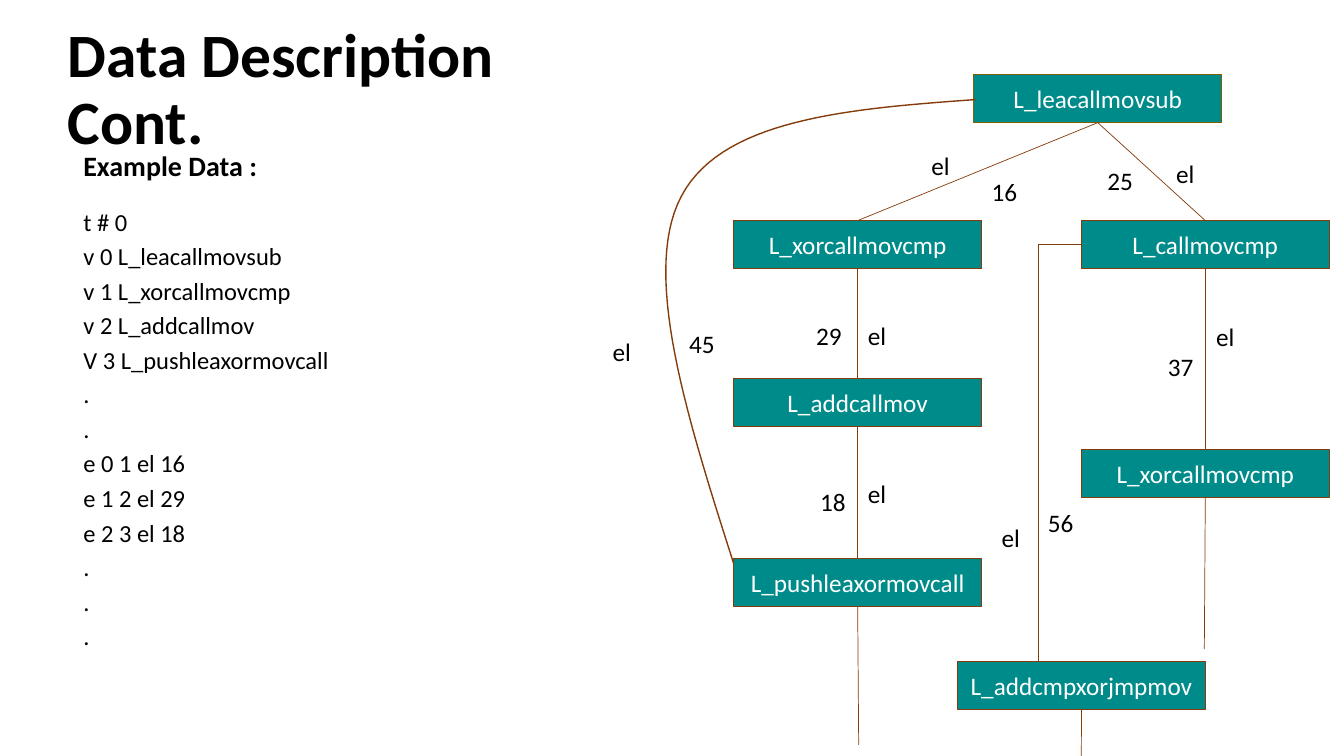
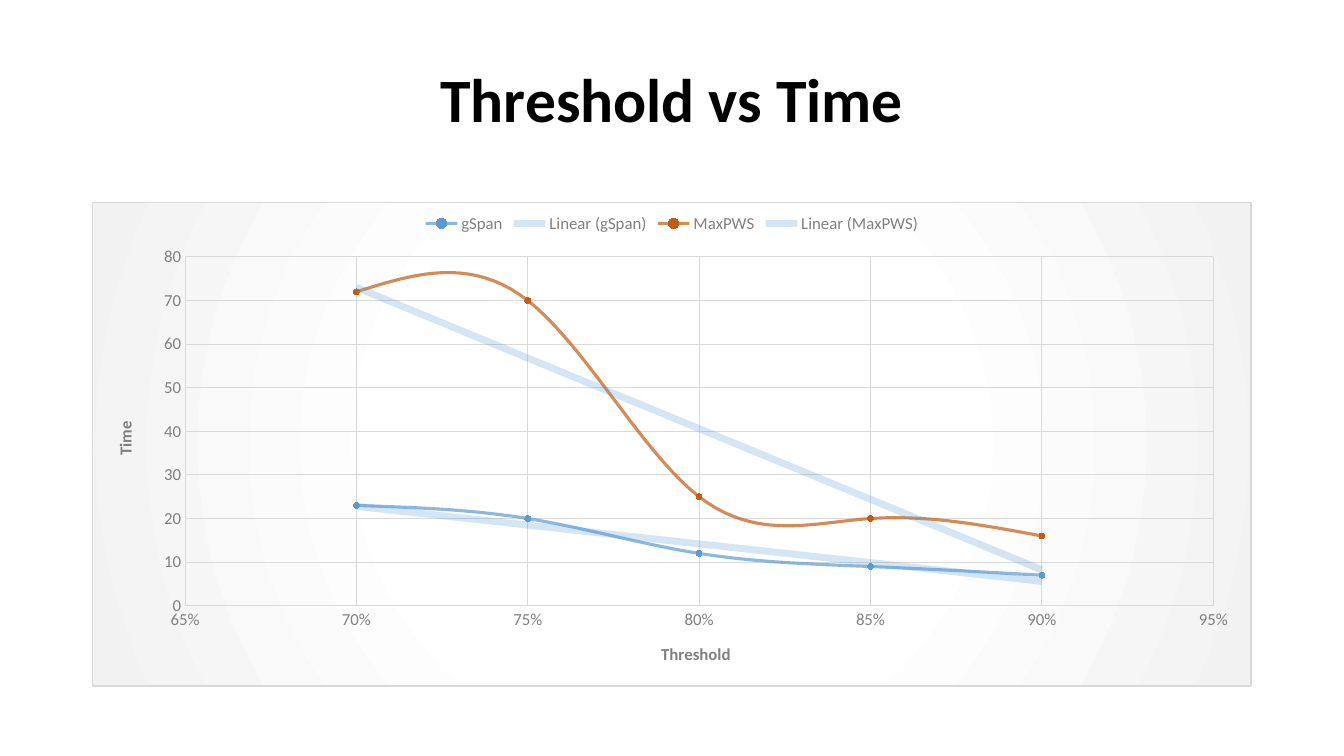
import pptx
import pptx.chart.data
import pptx.dml.color
import pptx.enum.chart
import pptx.enum.shapes
import pptx.enum.text
import pptx.oxml
import pptx.oxml.ns
import pptx.util

Cm, Pt = pptx.util.Cm, pptx.util.Pt
RGB = pptx.dml.color.RGBColor
ALIGN = pptx.enum.text.PP_ALIGN
MIDDLE = pptx.enum.text.MSO_ANCHOR.MIDDLE
LINK = pptx.enum.shapes.MSO_CONNECTOR
CHART = pptx.enum.chart

BLACK, WHITE = RGB(0, 0, 0), RGB(255, 255, 255)
TEAL, BROWN, OLIVE = RGB(0x00, 0x8B, 0x8B), RGB(0x84, 0x3C, 0x0B), RGB(0x80, 0x60, 0x00)
BLUE, RUST = RGB(0x5B, 0x9B, 0xD5), RGB(0xC5, 0x5A, 0x11)
GRAY, GRID = RGB(0x80, 0x80, 0x80), RGB(0xD9, 0xD9, 0xD9)
FONT = "Calibri"
NS = pptx.oxml.ns.nsdecls("a", "c")


def write(shape, lines, size, color=BLACK, bold=False, align=ALIGN.LEFT):
    """Fill a shape with one styled run per line; return its paragraphs."""
    frame = shape.text_frame
    frame.word_wrap = True
    for i, line in enumerate(lines):
        para = frame.add_paragraph() if i else frame.paragraphs[0]
        para.alignment = align
        run = para.add_run()
        run.text = line
        run.font.name, run.font.size, run.font.bold = FONT, Pt(size), bold
        run.font.color.rgb = color
    return frame.paragraphs


def join(start, end, kind=LINK.STRAIGHT):
    """Draw a thin brown connector between two points in cm."""
    line = slide.shapes.add_connector(kind, *[Cm(v) for v in (*start, *end)])
    line.line.color.rgb = BROWN
    line.line.width = Pt(0.5)
    line._element.spPr.append(pptx.oxml.parse_xml(f"<a:effectLst {NS}/>"))
    return line


deck = pptx.Presentation()
deck.slide_width, deck.slide_height = Cm(33.87), Cm(19.05)

# Both slides with their titles
slides = []
for layout, text, box, align in (
    (1, "Data Description Cont.", (1.45, 0.46, 14.91, 3.68), ALIGN.LEFT),
    (5, "Threshold vs Time", (2.33, 0.74, 29.21, 3.68), ALIGN.CENTER),
):
    slide = deck.slides.add_slide(deck.slide_layouts[layout])
    title = slide.shapes.title
    title.left, title.top, title.width, title.height = [Cm(v) for v in box]
    title.text_frame.vertical_anchor = MIDDLE
    title.text_frame.auto_size = pptx.enum.text.MSO_AUTO_SIZE.NONE
    write(title, [text], 44, bold=True, align=align)[0].line_spacing = 0.9
    slides.append(slide)

# Slide 1: example data
slide = slides[0]
body = slide.placeholders[1]
body.left, body.top, body.width, body.height = Cm(1.85), Cm(5.28), Cm(16.15), Cm(12.09)
body.text_frame.auto_size = pptx.enum.text.MSO_AUTO_SIZE.NONE
rows = ["t # 0", "v 0 L_leacallmovsub", "v 1 L_xorcallmovcmp", "v 2 L_addcallmov",
        "V 3 L_pushleaxormovcall", ".", ".", "e 0 1 el 16", "e 1 2 el 29",
        "e 2 3 el 18", ".", ".", "."]
for para in write(body, rows, 17.5):
    para.line_spacing = 0.7
    para.space_before = Pt(10)
    props = para._p.get_or_add_pPr()
    props.set("marL", "0")
    props.set("indent", "0")
    props.append(pptx.oxml.parse_xml(f"<a:buNone {NS}/>"))

head = slide.shapes.add_textbox(Cm(1.85), Cm(3.63), Cm(12.14), Cm(1.12))
write(head, ["Example Data :"], 20, bold=True)

# Graph nodes
WIDE, HIGH = 6.25, 1.21
LEFT, RIGHT = 18.49, 27.25
nodes = {}
for key, name, x, y in (
    ("top", "L_leacallmovsub", 24.54, 1.88),
    ("xor", "L_xorcallmovcmp", LEFT, 5.56),
    ("call", "L_callmovcmp", RIGHT, 5.56),
    ("add", "L_addcallmov", LEFT, 9.53),
    ("next", "L_xorcallmovcmp", RIGHT, 11.33),
    ("push", "L_pushleaxormovcall", LEFT, 14.07),
    ("jump", "L_addcmpxorjmpmov", 24.13, 16.66),
):
    node = slide.shapes.add_shape(pptx.enum.shapes.MSO_SHAPE.RECTANGLE,
                                  Cm(x), Cm(y), Cm(WIDE), Cm(HIGH))
    node.shadow.inherit = False
    node.fill.solid()
    node.fill.fore_color.rgb = TEAL
    node.line.color.rgb = OLIVE if key == "top" else BROWN
    node.line.width = Pt(0.5)
    node.text_frame.vertical_anchor = MIDDLE
    write(node, [name], 18, WHITE, align=ALIGN.CENTER)
    nodes[key] = node

# Edges between nodes, then open ends below the last ones
for above, below in (("top", "xor"), ("top", "call"), ("xor", "add"),
                     ("add", "push"), ("call", "next")):
    edge = join((0, 0), (1, 1))
    edge.begin_connect(nodes[above], 2)
    edge.end_connect(nodes[below], 0)
for key, x, y in (("push", 21.64, 18.77), ("jump", 27.25, 19.05), ("next", 30.35, 16.36)):
    edge = join((x, y - 1), (x, y))
    edge.begin_connect(nodes[key], 2)

bent = join((RIGHT, 6.17), (26.16, 16.66), LINK.ELBOW)
bent._element.spPr.prstGeom.set("prst", "bentConnector2")

# Curved edge from the top node down to the push node
curve = [(24.59, 2.51), (21.39, 2.74), (18.19, 3), (17.17, 4.95),
         (16.15, 6.88), (17.32, 10.54), (18.49, 14.2)]
STEPS = 30
dots = []
for first in (0, 3):
    for step in range(1, STEPS + 1):
        t = step / STEPS
        parts = ((1 - t) ** 3, 3 * t * (1 - t) ** 2, 3 * t * t * (1 - t), t ** 3)
        dots.append([Cm(sum(w * p[axis] for w, p in zip(parts, curve[first:first + 4])))
                     for axis in (0, 1)])
pen = slide.shapes.build_freeform(Cm(curve[0][0]), Cm(curve[0][1]))
pen.add_line_segments(dots, close=False)
arc = pen.convert_to_shape()
arc.shadow.inherit = False
arc.fill.background()
arc.line.color.rgb = BROWN
arc.line.width = Pt(1)

# Edge labels
for text, spots in (
    ("el", [(15.19, 8.36), (23.22, 3.66), (29.39, 3.86), (30.4, 7.98),
            (21.62, 11.94), (21.62, 7.95), (24.99, 13.03)]),
    ("25", [(27.66, 4.04)]), ("29", [(20.32, 7.95)]), ("18", [(20.42, 12.12)]),
    ("56", [(26.16, 12.67)]), ("37", [(29.18, 8.74)]), ("45", [(17.12, 8.15)]),
    ("16", [(24.74, 4.32)]),
):
    for x, y in spots:
        write(slide.shapes.add_textbox(Cm(x), Cm(y), Cm(1.2), Cm(1.02)), [text], 18)

# Slide 2: chart data
data = pptx.chart.data.XyChartData()
for name, times in (("gSpan", (23, 20, 12, 9, 7)), ("MaxPWS", (72, 70, 25, 20, 16))):
    points = data.add_series(name)
    for x, y in zip((0.7, 0.75, 0.8, 0.85, 0.9), times):
        points.add_data_point(x, y)
chart = slides[1].shapes.add_chart(CHART.XL_CHART_TYPE.XY_SCATTER_SMOOTH, Cm(2.33),
                                   Cm(5.08), Cm(29.21), Cm(12.22), data).chart
chart.has_title = False
chart.font.name, chart.font.size = FONT, Pt(12)
chart.font.color.rgb = GRAY
chart.has_legend = True
chart.legend.position = CHART.XL_LEGEND_POSITION.TOP
chart.legend.include_in_layout = False
chart.plots[0].vary_by_categories = False

# Chart background
chart._chartSpace.chart.addnext(pptx.oxml.parse_xml(
    f'<c:spPr {NS}><a:gradFill><a:gsLst>'
    '<a:gs pos="43000"><a:srgbClr val="FFFFFF"/></a:gs>'
    '<a:gs pos="100000"><a:srgbClr val="F2F2F2"/></a:gs></a:gsLst>'
    '<a:path path="circle"><a:fillToRect l="50000" t="50000" r="50000" b="50000"/></a:path>'
    f'</a:gradFill><a:ln w="9525"><a:solidFill><a:srgbClr val="{GRID}"/></a:solidFill></a:ln>'
    '</c:spPr>'))

# Axes
for axis, name, low, high, unit, form in (
    (chart.category_axis, "Threshold", 0.65, 0.95, 0.05, "0%"),
    (chart.value_axis, "Time", 0, 80, 10, "General"),
):
    axis.minimum_scale, axis.maximum_scale, axis.major_unit = low, high, unit
    axis.major_tick_mark = axis.minor_tick_mark = CHART.XL_TICK_MARK.NONE
    axis.tick_labels.number_format = form
    axis.tick_labels.number_format_is_linked = False
    axis.format.line.fill.background()
    axis.has_major_gridlines = True
    axis.major_gridlines.format.line.color.rgb = GRID
    axis.major_gridlines.format.line.width = Pt(0.75)
    write(axis.axis_title, [name], 12, GRAY, True, ALIGN.CENTER)

# Curves, markers and trend lines
for curve, color in zip(chart.plots[0].series, (BLUE, RUST)):
    curve.format.line.color.rgb = color
    curve.format.line.width = Pt(2.25)
    tint = curve._element.xpath("./c:spPr/a:ln/a:solidFill/a:srgbClr")[0]
    tint.append(pptx.oxml.parse_xml(f'<a:alpha {NS} val="70000"/>'))
    mark = curve.marker
    mark.style, mark.size = CHART.XL_MARKER_STYLE.CIRCLE, 4
    mark.format.fill.solid()
    mark.format.fill.fore_color.rgb = color
    mark.format.line.fill.background()
    curve._element.xpath("./c:smooth")[0].set("val", "1")
    curve._element.xpath("./c:xVal")[0].addprevious(pptx.oxml.parse_xml(
        f'<c:trendline {NS}><c:spPr><a:ln w="63500"><a:solidFill><a:srgbClr val="{BLUE}">'
        '<a:alpha val="25000"/></a:srgbClr></a:solidFill></a:ln></c:spPr>'
        '<c:trendlineType val="linear"/><c:dispRSqr val="0"/><c:dispEq val="0"/>'
        '</c:trendline>'))

deck.save("out.pptx")
